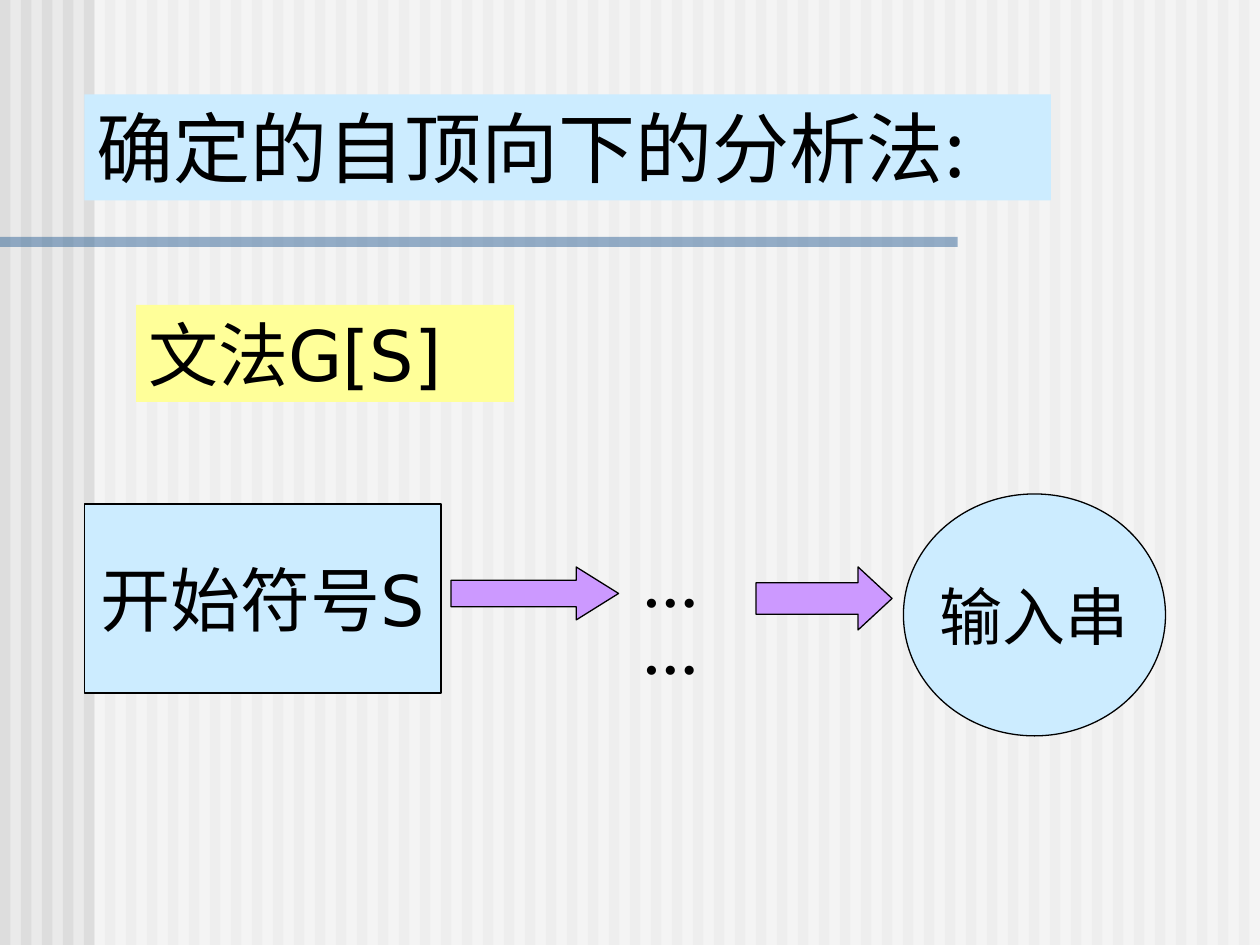
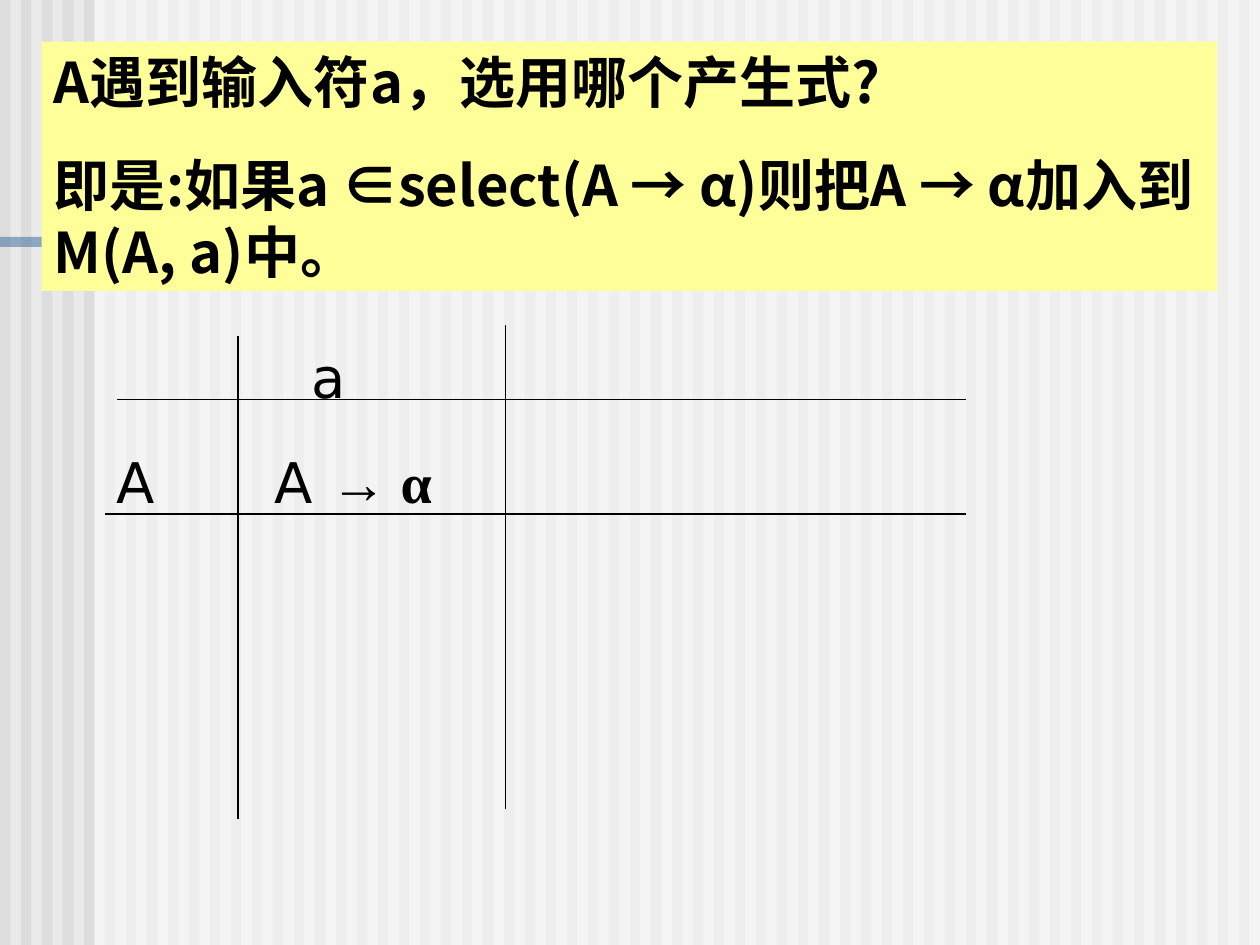
from dataclasses import dataclass
from typing import NamedTuple

from lxml import etree
from pptx import Presentation
from pptx.dml.color import RGBColor
from pptx.enum.shapes import MSO_CONNECTOR, MSO_SHAPE
from pptx.enum.text import MSO_ANCHOR, PP_ALIGN
from pptx.oxml.ns import qn
from pptx.util import Inches, Pt

RECT, OVAL, ARROW = MSO_SHAPE.RECTANGLE, MSO_SHAPE.OVAL, MSO_SHAPE.RIGHT_ARROW
STRAIGHT = MSO_CONNECTOR.STRAIGHT
TOP, MIDDLE = MSO_ANCHOR.TOP, MSO_ANCHOR.MIDDLE
LEFT, CENTER = PP_ALIGN.LEFT, PP_ALIGN.CENTER


@dataclass(frozen=True)
class Theme:
    background: str = "EAEAEA"
    stripe: str = "DDDDDD"
    veil: str = "FFFFFF"
    rule: str = "336699"
    blue: str = "CCECFF"
    yellow: str = "FFFF99"
    purple: str = "CC99FF"
    ink: str = "000000"
    sans: str = "DejaVu Sans"
    cjk: str = "Noto Sans CJK SC"
    serif: str = "Times New Roman"
    title: int = 44
    label: int = 40
    node: int = 36
    body: int = 32
    line: float = 0.75
    leading: float = 1.2
    gap: int = 20


THEME = Theme()


class Box(NamedTuple):
    left: float
    top: float
    width: float
    height: float


class Span(NamedTuple):
    text: str
    font: str
    bold: bool = False


class Copy(NamedTuple):
    """Paragraphs set in one font; a paragraph is a string or a list of spans."""
    paragraphs: list
    size: int
    font: str = THEME.sans
    bold: bool = False
    centred: bool = False


class Panel(NamedTuple):
    box: Box
    copy: Copy
    fill: str | None = None
    kind: int = RECT
    outlined: bool = False


class BlockArrow(NamedTuple):
    box: Box
    head: float


class Rule(NamedTuple):
    x1: float
    y1: float
    x2: float
    y2: float


def add_block(shapes, box: Box, fill: str, kind=RECT, outlined=False, alpha=100):
    sp = shapes.add_shape(kind, *map(Inches, box))
    sp.shadow.inherit = False
    sp.fill.solid()
    sp.fill.fore_color.rgb = RGBColor.from_string(fill)
    if alpha < 100:
        colour = sp.element.spPr.find(".//" + qn("a:srgbClr"))
        etree.SubElement(colour, qn("a:alpha"), val=str(alpha * 1000))
    if outlined:
        sp.line.color.rgb = RGBColor.from_string(THEME.ink)
        sp.line.width = Pt(THEME.line)
    else:
        sp.line.fill.background()
    return sp


def add_east_asian_font(properties, font: str) -> None:
    name = THEME.serif if font == THEME.serif else THEME.cjk
    etree.SubElement(properties, qn("a:ea"), typeface=name)


def write(tf, copy: Copy) -> None:
    tf.word_wrap = not copy.centred
    tf.vertical_anchor = MIDDLE if copy.centred else TOP
    for i, content in enumerate(copy.paragraphs):
        p = tf.add_paragraph() if i else tf.paragraphs[0]
        p.alignment = CENTER if copy.centred else LEFT
        p.line_spacing = Pt(copy.size * THEME.leading)
        if i:
            p.space_before = Pt(THEME.gap)
        p.font.size = Pt(copy.size)
        p.font.bold = copy.bold
        p.font.color.rgb = RGBColor.from_string(THEME.ink)
        p.font.name = copy.font
        add_east_asian_font(p._p.pPr.find(qn("a:defRPr")), copy.font)
        if isinstance(content, str):
            p.add_run().text = content
            continue
        for span in content:
            r = p.add_run()
            r.text = span.text
            r.font.name = span.font
            r.font.bold = span.bold
            add_east_asian_font(r._r.get_or_add_rPr(), span.font)


def add_panel(slide, panel: Panel) -> None:
    if panel.fill:
        sp = add_block(slide.shapes, panel.box, panel.fill, panel.kind, panel.outlined)
    else:
        sp = slide.shapes.add_textbox(*map(Inches, panel.box))
    write(sp.text_frame, panel.copy)


def add_arrow(slide, arrow: BlockArrow) -> None:
    sp = add_block(slide.shapes, arrow.box, THEME.purple, ARROW, outlined=True)
    sp.adjustments[1] = arrow.head


def add_rule(slide, rule: Rule) -> None:
    line = slide.shapes.add_connector(STRAIGHT, *map(Inches, rule))
    line.line.color.rgb = RGBColor.from_string(THEME.ink)
    line.line.width = Pt(THEME.line)
    etree.SubElement(line.element.spPr, qn("a:effectLst"))


def move_backdrop_to_layout(slide) -> None:
    """Draw the striped backdrop, then hand it to the layout both slides use."""
    layout = slide.slide_layout
    for placeholder in list(layout.placeholders):
        layout.placeholders.element.remove(placeholder.element)
    layout.background.fill.solid()
    layout.background.fill.fore_color.rgb = RGBColor.from_string(THEME.background)
    group = slide.shapes.add_group_shape()
    for i in range(60):
        add_block(group.shapes, Box(i / 6, 0, 1 / 12, 7.5), THEME.stripe)
    add_block(group.shapes, Box(0.75, 0, 9.25, 7.5), THEME.veil, alpha=50)
    add_block(group.shapes, Box(0, 1.88, 7.6, 0.08), THEME.rule, alpha=50)
    layout.shapes.element.append(group.element)


def build_derivation(slide) -> None:
    arrows = [
        BlockArrow(Box(3.58, 4.5, 1.33, 0.42), 0.8),
        BlockArrow(Box(6, 4.5, 1.08, 0.5), 0.54),
    ]
    panels = [
        Panel(Box(0.67, 0.75, 7.67, 0.84),
              Copy(["确定的自顶向下的分析法:"], THEME.title, THEME.cjk), THEME.blue),
        Panel(Box(1.08, 2.42, 3, 0.77), Copy(["文法G[S]"], THEME.label), THEME.yellow),
        Panel(Box(0.67, 4, 2.83, 1.5),
              Copy(["开始符号S"], THEME.label, centred=True), THEME.blue, outlined=True),
        Panel(Box(5, 4.33, 1, 1.17), Copy(["……"], THEME.body, THEME.serif, bold=True)),
        Panel(Box(7.17, 3.92, 2.08, 1.92),
              Copy(["输入串"], THEME.node, centred=True), THEME.blue, OVAL, outlined=True),
    ]
    for arrow in arrows:
        add_arrow(slide, arrow)
    for panel in panels:
        add_panel(slide, panel)


def build_parse_table(slide) -> None:
    rules = [
        Rule(0.93, 3.17, 7.67, 3.17),
        Rule(0.83, 4.08, 7.67, 4.08),
        Rule(1.89, 2.67, 1.89, 6.5),
        Rule(4.01, 2.58, 4.01, 6.42),
    ]
    production = [Span("A ", THEME.sans), Span("→ ", THEME.serif),
                  Span("α", THEME.serif, bold=True)]
    question = ["A遇到输入符a，选用哪个产生式?",
                "即是:如果a ∈select(A → α)则把A → α加入到M(A, a)中。"]
    panels = [
        Panel(Box(0.83, 3.5, 0.77, 0.64), Copy(["A"], THEME.body)),
        Panel(Box(2.37, 2.67, 0.58, 0.64), Copy(["a"], THEME.body)),
        Panel(Box(2.08, 3.5, 1.73, 0.64), Copy([production], THEME.body)),
        Panel(Box(0.33, 0.33, 9.33, 1.98),
              Copy(question, THEME.body, THEME.cjk, bold=True), THEME.yellow),
    ]
    for rule in rules:
        add_rule(slide, rule)
    for panel in panels:
        add_panel(slide, panel)


def main() -> None:
    prs = Presentation()
    prs.slide_width, prs.slide_height = Inches(10), Inches(7.5)
    blank = prs.slide_layouts[6]
    derivation, parse_table = (prs.slides.add_slide(blank) for _ in range(2))
    move_backdrop_to_layout(derivation)
    build_derivation(derivation)
    build_parse_table(parse_table)
    prs.save("out.pptx")


if __name__ == "__main__":
    main()
